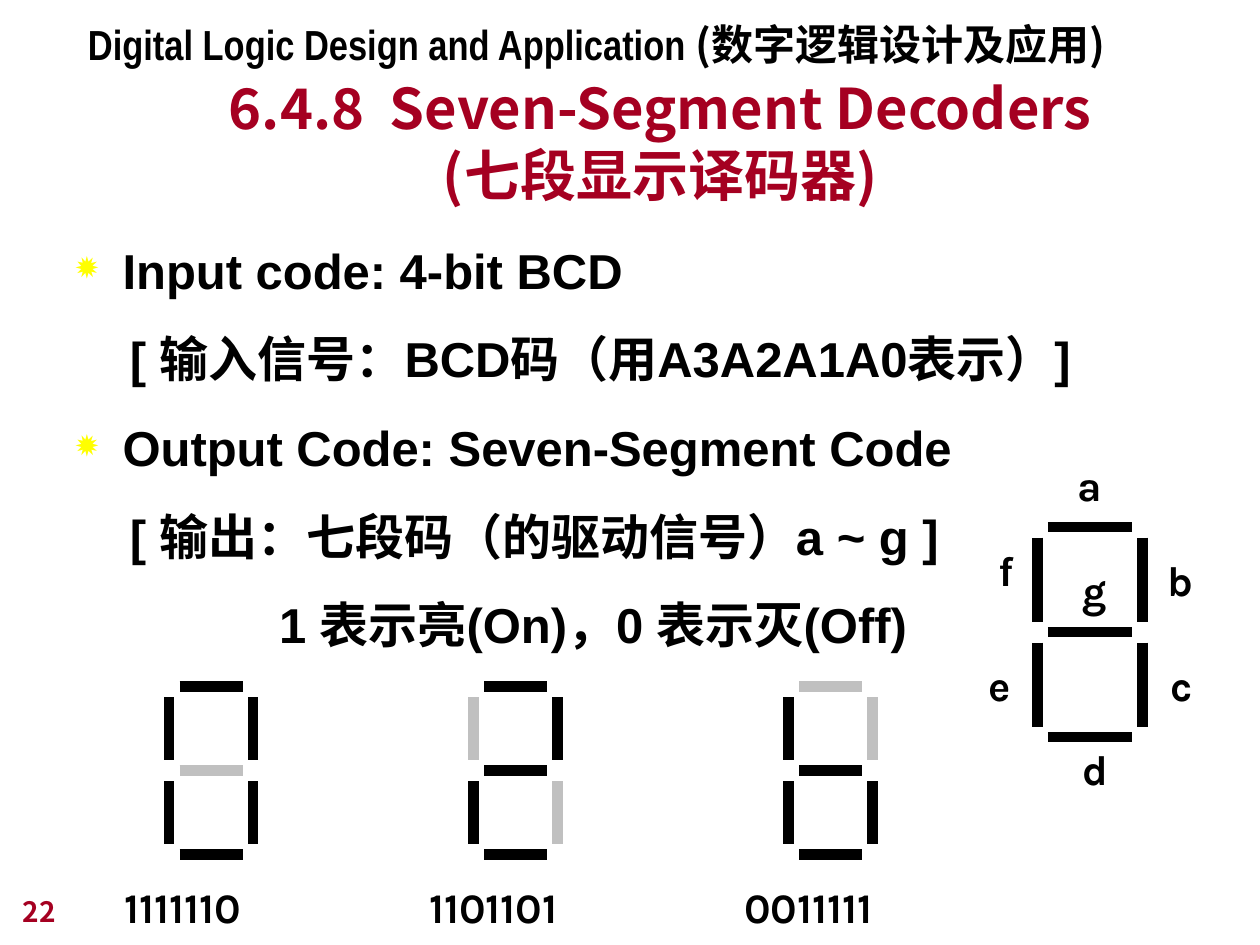
from lxml import etree
from pptx import Presentation
from pptx.dml.color import RGBColor
from pptx.enum.shapes import MSO_CONNECTOR
from pptx.enum.text import MSO_ANCHOR, PP_ALIGN
from pptx.oxml.ns import qn
from pptx.util import Inches, Pt

LINE = MSO_CONNECTOR.STRAIGHT
CENTER, LEFT = PP_ALIGN.CENTER, PP_ALIGN.LEFT
TOP, BOTTOM = MSO_ANCHOR.TOP, MSO_ANCHOR.BOTTOM

BLACK = RGBColor(0, 0, 0)
GREY = RGBColor(0xC0, 0xC0, 0xC0)
RED = RGBColor(0xA5, 0x00, 0x21)
YELLOW = RGBColor(0xFF, 0xFF, 0x00)

CJK = "Noto Sans CJK JP"
LABEL_FONT = "Karla"

# The slide is a grid of 120 columns by 90 rows
COLS, ROWS = 120, 90
CELL = Inches(10) // COLS

# Segment ends (x1, y1, x2, y2) in digit pitches; ends stop one cell short
SEGMENTS = {
    "a": (0, 0, 1, 0), "b": (1, 0, 1, 1), "c": (1, 1, 1, 2), "d": (0, 2, 1, 2),
    "e": (0, 1, 0, 2), "f": (0, 0, 0, 1), "g": (0, 1, 1, 1),
}

# Label centre and top, in cells from the top left corner of the large digit
LABELS = {
    "a": (5, -7), "b": (13.6, 2), "c": (13.7, 12), "d": (5.5, 20),
    "e": (-3.6, 12), "f": (-3, 1.1), "g": (5.5, 3),
}

# Text, indent in cells, bulleted
BODY = [
    ("Input code: 4-bit BCD", 4.5, True),
    ("[ 输入信号：BCD码（用A3A2A1A0表示）]", 5.2, False),
    ("Output Code: Seven-Segment Code", 4.5, True),
    ("[ 输出：七段码（的驱动信号）a ~ g ]", 5.2, False),
    ("1 表示亮(On)，0 表示灭(Off)", 19.4, False),
]


def cells(n):
    return round(n * CELL)


def add_run(p, text, font=LABEL_FONT, size=24, color=BLACK):
    r = p.add_run()
    r.text = text
    r.font.name, r.font.size, r.font.bold = font, Pt(size), True
    r.font.color.rgb = color
    etree.SubElement(r.font._element, qn("a:ea"), typeface=CJK)


def add_frame(slide, x, y, w, h, anchor=TOP, wrap=True):
    tf = slide.shapes.add_textbox(*map(cells, (x, y, w, h))).text_frame
    tf.word_wrap, tf.vertical_anchor = wrap, anchor
    return tf


def add_text(slide, text, x, y, w, h=6, align=LEFT, anchor=TOP, wrap=True, **fmt):
    tf = add_frame(slide, x, y, w, h, anchor, wrap)
    p = tf.paragraphs[0]
    for i, line in enumerate(text.split("\n")):
        if i:
            p.add_line_break()
        add_run(p, line, **fmt)
    p.alignment = align
    return p


def set_bullet(p, indent):
    pPr = p._p.get_or_add_pPr()
    pPr.set("indent", str(-cells(indent)))
    clr = etree.SubElement(pPr, qn("a:buClr"))
    etree.SubElement(clr, qn("a:srgbClr"), val=str(YELLOW))
    etree.SubElement(pPr, qn("a:buSzPct"), val="80000")
    etree.SubElement(pPr, qn("a:buChar"), char="✹")


def add_body(slide):
    tf = add_frame(slide, 6, 20.6, 108, 64)
    for i, (text, indent, bulleted) in enumerate(BODY):
        p = tf.add_paragraph() if i else tf.paragraphs[0]
        p._p.get_or_add_pPr().set("marL", str(cells(indent)))
        if bulleted:
            set_bullet(p, indent)
        p.line_spacing = 1.3
        p.space_before = Pt(7 if i else 0)
        add_run(p, text, font="Arial", size=28)


def add_segment(slide, x1, y1, x2, y2, color):
    cx = slide.shapes.add_connector(LINE, *map(cells, (x1, y1, x2, y2)))
    cx.line.color.rgb, cx.line.width = color, Pt(6)
    etree.SubElement(cx._element.spPr, qn("a:effectLst"))


def add_digit(slide, left, top, pitch, code):
    for (x1, y1, x2, y2), bit in zip(SEGMENTS.values(), code):
        dx, dy = x2 - x1, y2 - y1
        add_segment(slide, left + x1 * pitch + dx, top + y1 * pitch + dy,
                    left + x2 * pitch - dx, top + y2 * pitch - dy,
                    BLACK if bit == "1" else GREY)


def main():
    prs = Presentation()
    prs.slide_width, prs.slide_height = cells(COLS), cells(ROWS)
    slide = prs.slides.add_slide(prs.slide_layouts[6])

    add_body(slide)

    # Large digit with its segment names
    left, top = 98.8, 50.2
    add_digit(slide, left, top, 10, "1111111")
    for name, (dx, dy) in LABELS.items():
        add_text(slide, name, left + dx - 2.4, top + dy, 4.8, align=CENTER, wrap=False)

    # Example digits with their codes
    for left, code in ((16.1, "1111110"), (45.1, "1101101"), (75.1, "0011111")):
        add_digit(slide, left, 65.4, 8, code)
        add_text(slide, code, left - 5.4, 83.4, 18.8)

    # Title, course name and page number
    add_text(slide, "6.4.8  Seven-Segment Decoders\n(七段显示译码器)", 11.9, 10.4, 102, 10,
             align=CENTER, anchor=BOTTOM, font=CJK, size=32, color=RED)
    p = add_text(slide, "Digital Logic Design and Application ", 7.2, 1.2, 101,
                 font="Arial Narrow")
    add_run(p, "(数字逻辑设计及应用)", font=CJK)
    add_text(slide, "22", 1, 83, 25, anchor=BOTTOM, font=CJK, size=16, color=RED)

    prs.save("out.pptx")


if __name__ == "__main__":
    main()
